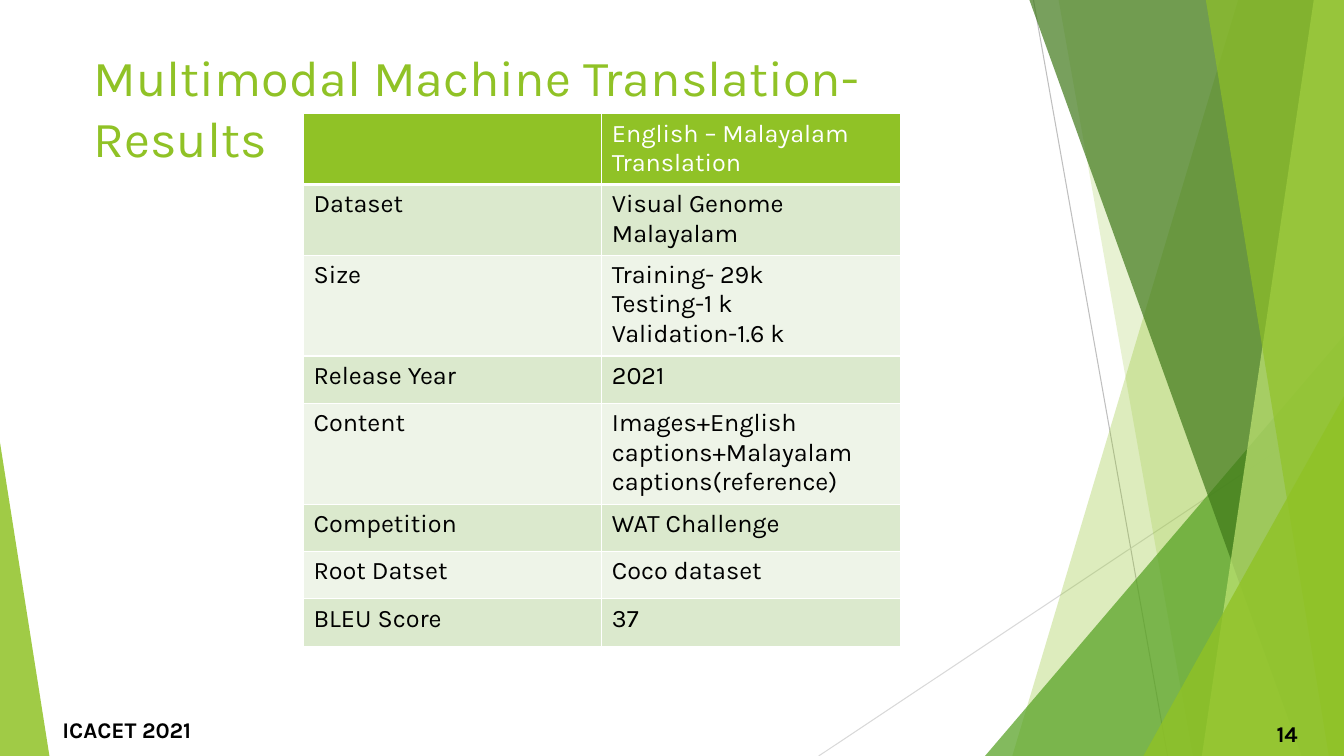
"""Build the translation results slide."""
from lxml import etree
from pptx import Presentation
from pptx.dml.color import RGBColor
from pptx.enum import shapes, text
from pptx.oxml import ns
from pptx.util import Inches, Pt

BLACK = RGBColor(0x00, 0x00, 0x00)
WHITE = RGBColor(0xFF, 0xFF, 0xFF)
LIME = RGBColor(0x90, 0xC2, 0x26)
PALE_LIME = RGBColor(0xC0, 0xE4, 0x74)
GREEN = RGBColor(0x54, 0xA0, 0x21)
DARK_GREEN = RGBColor(0x3F, 0x78, 0x19)
ROW_DARK = RGBColor(0xDB, 0xE9, 0xCD)
ROW_LIGHT = RGBColor(0xEE, 0xF4, 0xE8)
GREY = RGBColor(0xBF, 0xBF, 0xBF)
LIGHT_GREY = RGBColor(0xD9, 0xD9, 0xD9)

SLIDE_WIDTH, SLIDE_HEIGHT = 13.33, 7.5
ROW_HEIGHTS = (0.69, 0.69, 0.98, 0.47, 0.98, 0.47, 0.47, 0.47)
RESULTS = (
    ("", "English – Malayalam Translation"),
    ("Dataset", "Visual Genome Malayalam"),
    ("Size", "Training- 29k\nTesting-1 k\nValidation-1.6 k"),
    ("Release Year", "2021"),
    ("Content", "Images+English captions+Malayalam captions(reference)"),
    ("Competition", "WAT Challenge"),
    ("Root Datset", "Coco dataset"),
    ("BLEU Score", "37"),
)


def add_child(parent, tag, **attributes):
    """Append a DrawingML element and return it."""
    return etree.SubElement(parent, ns.qn(tag), attributes)


def format_text(frame, color, size, bold=False, align=text.PP_ALIGN.LEFT):
    """Apply one text format to every paragraph of a frame."""
    for paragraph in frame.paragraphs:
        paragraph.alignment = align
        paragraph.font.color.rgb = color
        for name, value in {"name": "Karla", "size": Pt(size), "bold": bold}.items():
            setattr(paragraph.font, name, value)


def paint(shape, color, opacity):
    """Give a shape a translucent fill without outline or shadow."""
    shape.shadow.inherit = False
    shape.line.fill.background()
    shape.fill.solid()
    shape.fill.fore_color.rgb = color
    fill_color = shape.fill._xPr.find(".//" + ns.qn("a:srgbClr"))
    add_child(fill_color, "a:alpha", val=str(opacity * 1000))


def add_hairline(slide, start, end, color):
    """Draw a thin straight line."""
    line = slide.shapes.add_connector(
        shapes.MSO_CONNECTOR.STRAIGHT, *map(Inches, start + end))
    line.line.color.rgb = color
    line.line.width = Pt(0.75)
    add_child(line._element.spPr, "a:effectLst")


def add_band(slide, box, top_inset, bottom_inset, color, opacity):
    """Draw a slanted band that fills the box from its insets to its right side."""
    left, top, width, height = box
    right, bottom = left + width, top + height
    corners = [(left + top_inset, top), (right, top),
               (right, bottom), (left + bottom_inset, bottom)]
    points = [(Inches(x), Inches(y)) for x, y in corners]
    builder = slide.shapes.build_freeform(*points[0])
    builder.add_line_segments(points[1:], close=True)
    paint(builder.convert_to_shape(), color, opacity)


def add_corner(slide, box, width, height, apex, color, opacity):
    """Draw a triangle in the bottom corner of the box on the side of its apex."""
    left = box[0] + apex * (box[2] - width)
    top = box[1] + box[3] - height
    triangle = slide.shapes.add_shape(
        shapes.MSO_SHAPE.ISOSCELES_TRIANGLE, *map(Inches, (left, top, width, height)))
    triangle.adjustments[0] = apex
    paint(triangle, color, opacity)


def add_facets(slide, box):
    """Draw the layered green facets on the right of the box."""
    left, top, width, height = box
    right, bottom = left + width, top + height
    add_hairline(slide, (left + 10.25, top), (left + 11.58, bottom), GREY)
    add_hairline(slide, (right, top + 4.03), (left + 8.12, bottom), LIGHT_GREY)
    facets = (
        (add_band, 12.28, 10.04, LIME, 30),
        (add_band, 10.5, 11.83, LIME, 20),
        (add_corner, 3.56, 4.17, 1, GREEN, 72),
        (add_band, 10.21, 12.91, DARK_GREEN, 70),
        (add_band, 13.03, 11.92, PALE_LIME, 70),
        (add_band, 11.96, 13.18, LIME, 65),
        (add_corner, 1.99, 3.57, 1, LIME, 80),
        (add_corner, 0.49, 3.11, 0, LIME, 85),
    )
    for draw, *measures in facets:
        draw(slide, box, *measures)


def add_text(slide, box, content, anchor, **style):
    """Place a formatted text box."""
    frame = slide.shapes.add_textbox(*map(Inches, box)).text_frame
    for name, value in {"word_wrap": True, "vertical_anchor": anchor, "text": content}.items():
        setattr(frame, name, value)
    format_text(frame, **style)


def add_footer(slide, box):
    """Place the event name and the slide number in the footer strip."""
    left, top, width, height = box
    style = {"anchor": text.MSO_ANCHOR.MIDDLE, "color": BLACK, "size": 16, "bold": True}
    add_text(slide, (left, top, 6.89, height), "ICACET 2021", **style)
    add_text(slide, (left + width - 0.75, top + 0.04, 0.75, height), "14",
             align=text.PP_ALIGN.RIGHT, **style)


def add_borders(cell, bottom_width):
    """Give a cell white borders, placed ahead of its fill."""
    properties = cell._tc.get_or_add_tcPr()
    widths = {"a:lnL": 1, "a:lnR": 1, "a:lnT": 1, "a:lnB": bottom_width}
    for index, (tag, width) in enumerate(widths.items()):
        border = add_child(properties, tag, w=str(Pt(width)))
        add_child(add_child(border, "a:solidFill"), "a:srgbClr", val=str(WHITE))
        properties.insert(index, border)


def add_results(slide, box):
    """Place the results table with a header and alternating rows."""
    table = slide.shapes.add_table(len(RESULTS), 2, *map(Inches, box)).table
    for column in table.columns:
        column.width = Inches(box[2] / 2)
    for index, (row, height) in enumerate(zip(table.rows, ROW_HEIGHTS)):
        row.height = Inches(height)
        fill = (ROW_DARK if index % 2 else ROW_LIGHT) if index else LIME
        for cell, content in zip(row.cells, RESULTS[index]):
            cell.text = content
            format_text(cell.text_frame, BLACK if index else WHITE, 18)
            cell.fill.solid()
            cell.fill.fore_color.rgb = fill
            add_borders(cell, 1 if index else 3)


def main():
    """Build and save the slide."""
    presentation = Presentation()
    presentation.slide_width = Inches(SLIDE_WIDTH)
    presentation.slide_height = Inches(SLIDE_HEIGHT)
    slide = presentation.slides.add_slide(presentation.slide_layouts[6])
    add_facets(slide, (0, 0, SLIDE_WIDTH, SLIDE_HEIGHT))
    add_footer(slide, (0.52, 7.04, 12.45, 0.4))
    add_results(slide, (3.01, 1.13, 5.92, sum(ROW_HEIGHTS)))
    add_text(slide, (0.83, 0.41, 9.4, 0.71), "Multimodal Machine Translation-Results",
             text.MSO_ANCHOR.TOP, color=LIME, size=36)
    presentation.save("out.pptx")


if __name__ == "__main__":
    main()
